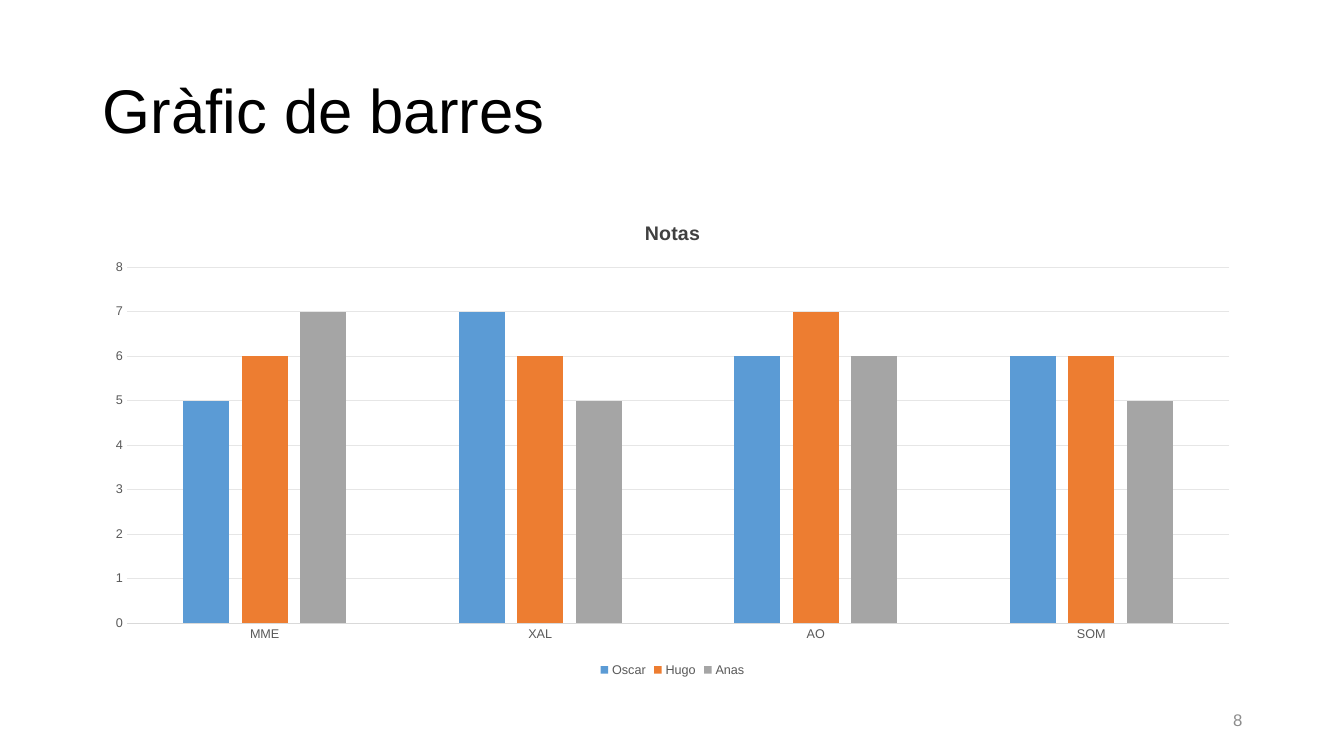
"""Builds a slide with a clustered column chart of marks per subject."""
from dataclasses import dataclass

from pptx import Presentation
from pptx.chart.chart import Chart
from pptx.chart.data import CategoryChartData
from pptx.dml.color import RGBColor
from pptx.enum.chart import XL_CHART_TYPE, XL_LEGEND_POSITION, XL_TICK_MARK
from pptx.enum.text import MSO_ANCHOR, PP_ALIGN
from pptx.util import Inches, Pt

COLUMNS = XL_CHART_TYPE.COLUMN_CLUSTERED
BOTTOM = XL_LEGEND_POSITION.BOTTOM
NO_TICK = XL_TICK_MARK.NONE
MIDDLE = MSO_ANCHOR.MIDDLE
LEFT, RIGHT = PP_ALIGN.LEFT, PP_ALIGN.RIGHT

FONT = "Arial"
LABEL_GREY = "595959"
MARGIN, CONTENT_WIDTH = 0.92, 11.5


@dataclass
class Student:
    """One student's marks and column colour."""
    name: str
    marks: tuple[int, ...]
    color: str


SUBJECTS = ("MME", "XAL", "AO", "SOM")
STUDENTS = (
    Student("Oscar", (5, 7, 6, 6), "5B9BD5"),
    Student("Hugo", (6, 6, 7, 6), "ED7D31"),
    Student("Anas", (7, 5, 6, 5), "A5A5A5"),
)


def rgb(color: str) -> RGBColor:
    """Turn a hex string into a colour."""
    return RGBColor.from_string(color)


def set_all(target, values: dict) -> None:
    """Set each named attribute on the target."""
    for name, value in values.items():
        setattr(target, name, value)


def style_font(font, size: float, color: str, bold: bool = False) -> None:
    """Apply the slide's font with a size and colour."""
    set_all(font, {"name": FONT, "size": Pt(size), "bold": bold})
    font.color.rgb = rgb(color)


def style_line(line, color: str) -> None:
    """Give a chart line its colour and width."""
    line.color.rgb = rgb(color)
    line.width = Pt(0.75)


def write_text(shape, text: str, size: float, color: str, align) -> None:
    """Write one vertically centred line of text in a shape."""
    set_all(shape.text_frame, {"text": text, "word_wrap": True, "vertical_anchor": MIDDLE})
    para = shape.text_frame.paragraphs[0]
    set_all(para, {"alignment": align, "line_spacing": 0.9})
    style_font(para.runs[0].font, size, color)


def style_axes(chart: Chart) -> None:
    """Format both axes and the horizontal gridlines."""
    for axis in (chart.category_axis, chart.value_axis):
        set_all(axis, {"major_tick_mark": NO_TICK, "minor_tick_mark": NO_TICK})
        style_font(axis.tick_labels.font, 9, LABEL_GREY)
    style_line(chart.category_axis.format.line, "D9D9D9")
    values = chart.value_axis
    set_all(values, {"minimum_scale": 0, "maximum_scale": 8, "major_unit": 1})
    values.format.line.fill.background()
    style_line(values.major_gridlines.format.line, "E6E6E6")


def add_marks_chart(slide) -> None:
    """Add the column chart with its title and legend."""
    data = CategoryChartData(number_format="General")
    data.categories = SUBJECTS
    for student in STUDENTS:
        data.add_series(student.name, student.marks)
    chart = slide.shapes.add_chart(
        COLUMNS, Inches(MARGIN), Inches(2), Inches(CONTENT_WIDTH), Inches(4.76), data
    ).chart
    style_font(chart.font, 10, "000000")
    set_all(chart, {"has_title": True, "has_legend": True})
    chart.chart_title.text_frame.text = "Notas"
    title_span = chart.chart_title.text_frame.paragraphs[0].runs[0]
    style_font(title_span.font, 14, "404040", bold=True)
    set_all(chart.legend, {"position": BOTTOM, "include_in_layout": False})
    style_font(chart.legend.font, 9, LABEL_GREY)
    style_axes(chart)
    plot = chart.plots[0]
    set_all(plot, {"gap_width": 246, "overlap": -28, "vary_by_categories": False})
    for series, student in zip(plot.series, STUDENTS):
        series.format.fill.solid()
        series.format.fill.fore_color.rgb = rgb(student.color)


def main() -> None:
    """Build and save the deck."""
    deck = Presentation()
    set_all(deck, {"slide_width": Inches(13.33), "slide_height": Inches(7.5)})
    slide = deck.slides.add_slide(deck.slide_layouts[5])
    title = slide.shapes.title
    set_all(title, {"left": Inches(MARGIN), "top": Inches(0.4),
                    "width": Inches(CONTENT_WIDTH), "height": Inches(1.45)})
    write_text(title, "Gràfic de barres", 44, "000000", LEFT)
    add_marks_chart(slide)
    number_box = slide.shapes.add_textbox(Inches(9.42), Inches(6.95), Inches(3), Inches(0.4))
    write_text(number_box, "8", 12, "8C8C8C", RIGHT)
    deck.save("out.pptx")


if __name__ == "__main__":
    main()
